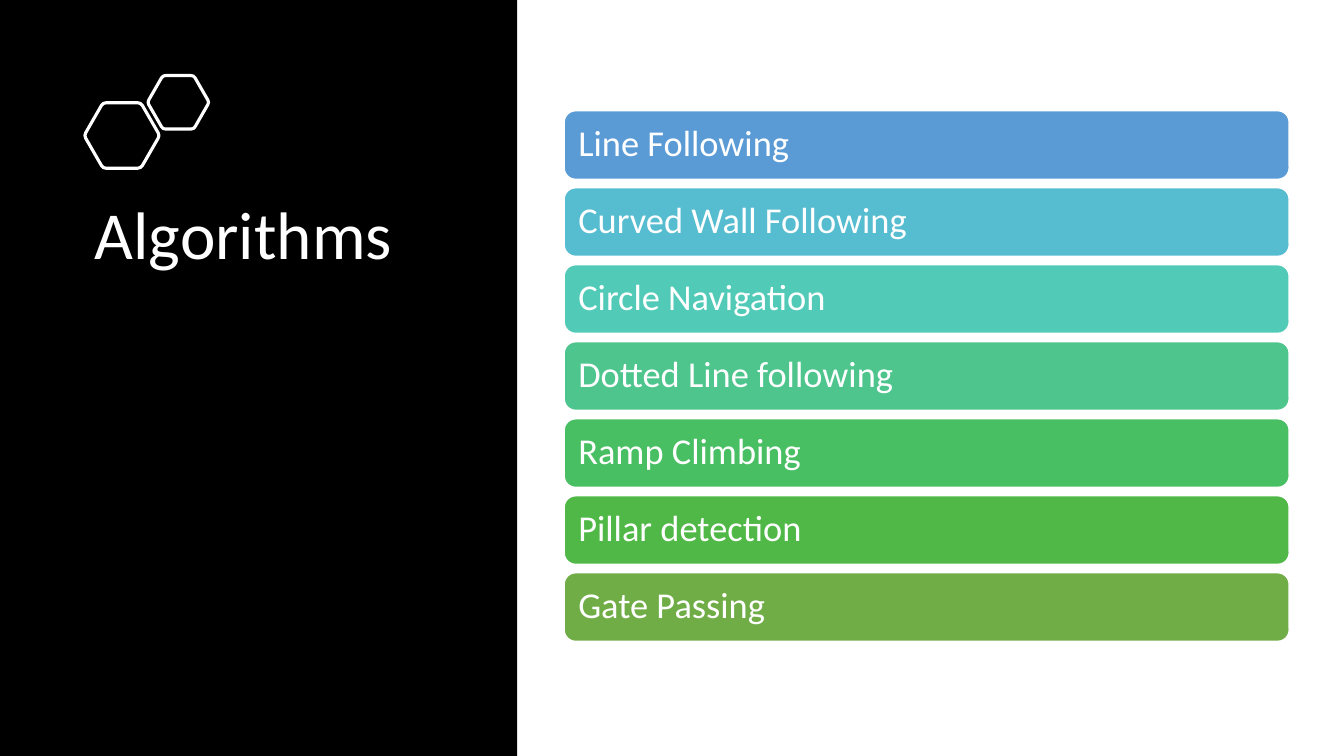
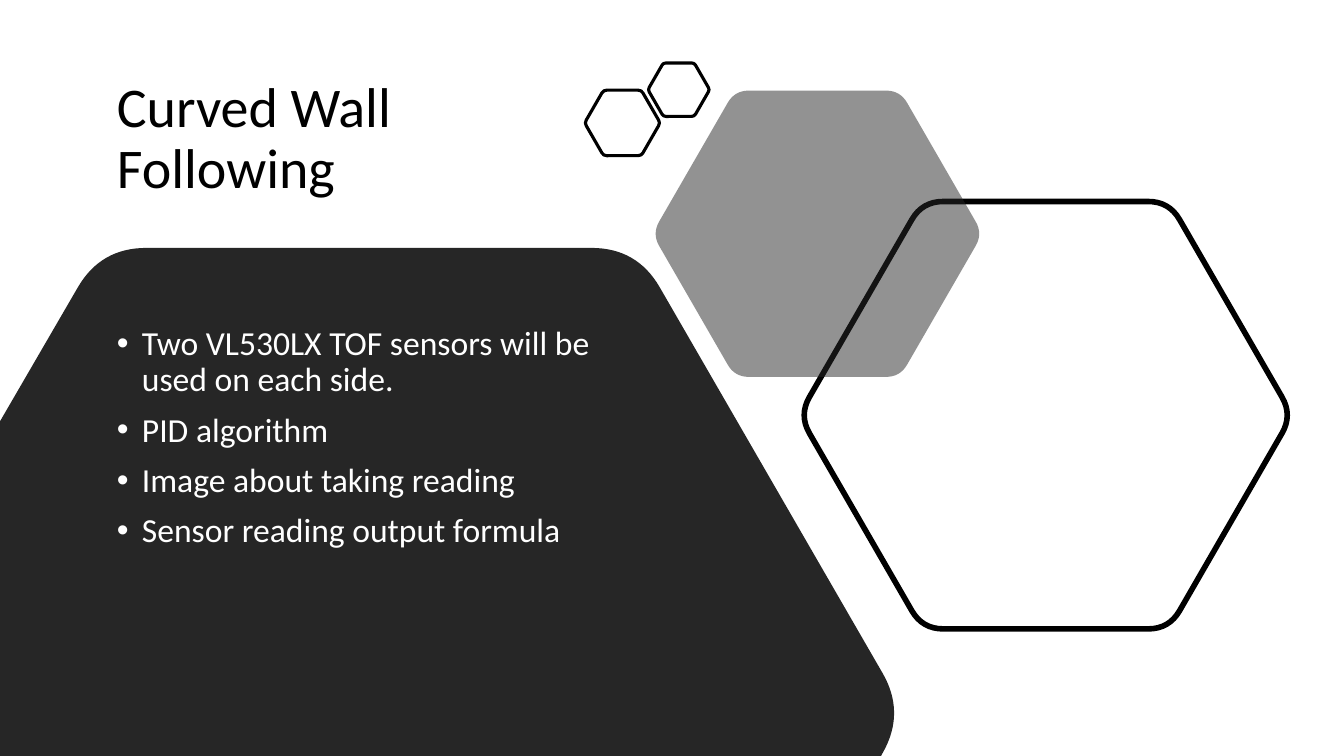
import math

from lxml import etree
from pptx import Presentation
from pptx.dml.color import RGBColor
from pptx.enum import shapes, text
from pptx.oxml import ns
from pptx.util import Pt

BLACK = RGBColor(0x00, 0x00, 0x00)
WHITE = RGBColor(0xFF, 0xFF, 0xFF)
CHARCOAL = RGBColor(0x26, 0x26, 0x26)
FONT = "Calibri"
CORNER_CUT = 0.085  # share of the hexagon side taken by each rounded corner

ALGORITHMS = [
    ("Line Following", RGBColor(0x5B, 0x9B, 0xD5)),
    ("Curved Wall Following", RGBColor(0x56, 0xBC, 0xD0)),
    ("Circle Navigation", RGBColor(0x52, 0xCA, 0xB8)),
    ("Dotted Line following", RGBColor(0x4D, 0xC5, 0x8D)),
    ("Ramp Climbing", RGBColor(0x49, 0xBF, 0x64)),
    ("Pillar detection", RGBColor(0x50, 0xB8, 0x46)),
    ("Gate Passing", RGBColor(0x70, 0xAD, 0x47)),
]
WALL_POINTS = [
    "Two VL530LX TOF sensors will be used on each side.",
    "PID algorithm",
    "Image about taking reading",
    "Sensor reading output formula",
]


def hexagon(center_x, center_y, height):
    """Return the (x, y, cut) corners of a flat-topped regular hexagon."""
    side = height / math.sqrt(3)
    angles = [math.radians(60 * step) for step in range(6)]
    return [(center_x + side * math.cos(angle), center_y + side * math.sin(angle),
             side * CORNER_CUT) for angle in angles]


def add_outline(slide, corners, fill=None, line=None, width=0):
    """Draw a closed polygon whose corners are rounded by their own cut."""
    points, curve_starts = [], []
    for index, (x, y, cut) in enumerate(corners):
        if not cut:
            points.append((Pt(x), Pt(y)))
            continue
        before, after = corners[index - 1], corners[(index + 1) % len(corners)]
        curve_starts.append(len(points) + 1)
        # Curve start, two handles and curve end, measured from the corner
        for (near_x, near_y, _), part in ((before, 1), (before, 1 / 3), (after, 1 / 3), (after, 1)):
            share = part * cut / math.hypot(near_x - x, near_y - y)
            points.append((Pt(x + (near_x - x) * share), Pt(y + (near_y - y) * share)))
    builder = slide.shapes.build_freeform(*points[0], scale=1.0)
    builder.add_line_segments(points[1:], close=True)
    shape = builder.convert_to_shape()
    outline = next(shape.element.iter(ns.qn("a:path")))
    segments = list(outline)
    for start in curve_starts:
        curve = etree.SubElement(outline, ns.qn("a:cubicBezTo"))
        outline.replace(segments[start], curve)
        for segment in segments[start:start + 3]:
            curve.append(segment[0])
        for segment in segments[start + 1:start + 3]:
            outline.remove(segment)
    shape.shadow.inherit = False
    for paint, color in ((shape.fill, fill), (shape.line.fill, line)):
        if color is None:
            paint.background()
        else:
            paint.solid()
            paint.fore_color.rgb = color
    if line is not None:
        shape.line.width = Pt(width)
    return shape


presentation = Presentation()
presentation.slide_width, presentation.slide_height = Pt(960), Pt(540)

# Both slides: title and hexagon pair
TOP, MIDDLE = text.MSO_ANCHOR.TOP, text.MSO_ANCHOR.MIDDLE
slides = []
text_styles = []  # (text frame, size, colour, anchor, side inset, space before)
for title_text, box, size, color, anchor, shift_x, shift_y in (
    ("Algorithms", (60.5, 140.4, 282.2, 252), 48, WHITE, TOP, 0, 0),
    ("Curved Wall Following", (76.3, 35, 337, 129.6), 40, BLACK, MIDDLE, 357.5, -9),
):
    slide = presentation.slides.add_slide(presentation.slide_layouts[5])
    title = slide.shapes.title
    title.left, title.top, title.width, title.height = map(Pt, box)
    title.text_frame.text = title_text
    text_styles.append((title.text_frame, size, color, anchor, 7.2, 0))
    for center_x, center_y, height in ((87.1, 96.8, 46.8), (127.4, 73.1, 38.2)):
        add_outline(slide, hexagon(center_x + shift_x, center_y + shift_y, height),
                    line=color, width=2.25)
    slides.append(slide)
algorithms_slide, wall_slide = slides

# Algorithms: black panel behind the title, one bar per algorithm
panel = algorithms_slide.shapes.add_shape(
    shapes.MSO_SHAPE.RECTANGLE, 0, 0, Pt(369.4), presentation.slide_height)
panel.shadow.inherit = False
panel.fill.solid()
panel.fill.fore_color.rgb = BLACK
panel.line.fill.background()
algorithms_slide.shapes.element.insert(2, panel.element)

for row, (name, color) in enumerate(ALGORITHMS):
    bar = algorithms_slide.shapes.add_shape(
        shapes.MSO_SHAPE.ROUNDED_RECTANGLE, Pt(403), Pt(79.1 + 55 * row), Pt(517.9), Pt(49))
    bar.shadow.inherit = False
    bar.fill.solid()
    bar.fill.fore_color.rgb = color
    bar.line.color.rgb = WHITE
    bar.line.width = Pt(1)
    bar.text_frame.text = name
    text_styles.append((bar.text_frame, 26, WHITE, MIDDLE, 7.7, 0))

# Curved Wall Following: large hexagons, the dark one ending at the slide edges
add_outline(wall_slide, [(0, 540, 0), (0, 301, 0), (72, 177.1, 32.5), (455, 177.1, 32.5),
                         (646.7, 509, 32.5), (629.3, 540, 0)], fill=CHARCOAL)
add_outline(wall_slide, hexagon(747, 296.6, 305.3), line=BLACK, width=4)
veil = add_outline(wall_slide, hexagon(583.9, 167, 204.5), fill=CHARCOAL)
veil_color = veil.element.spPr.find(ns.qn("a:solidFill"))[0]
etree.SubElement(veil_color, ns.qn("a:alpha"), val="50000")

body = wall_slide.shapes.add_textbox(Pt(76.3), Pt(229.7), Pt(373.7), Pt(243.4))
body.text_frame.text = "\n".join(WALL_POINTS)
text_styles.append((body.text_frame, 24, WHITE, TOP, 7.2, 10))
for paragraph in body.text_frame.paragraphs:
    properties = paragraph._p.get_or_add_pPr()
    properties.set("marL", str(Pt(18)))
    properties.set("indent", str(Pt(-18)))
    etree.SubElement(properties, ns.qn("a:buFont"), typeface="Arial")
    etree.SubElement(properties, ns.qn("a:buChar"), char="•")

# Text formatting for titles, bars and body
for frame, size, color, anchor, inset, space_before in text_styles:
    frame_format = {"word_wrap": True, "auto_size": text.MSO_AUTO_SIZE.NONE,
                    "vertical_anchor": anchor,
                    "margin_left": Pt(inset), "margin_right": Pt(inset)}
    for key, value in frame_format.items():
        setattr(frame, key, value)
    paragraph_format = {"alignment": text.PP_ALIGN.LEFT, "line_spacing": 0.9,
                        "space_before": Pt(space_before)}
    for paragraph in frame.paragraphs:
        for key, value in paragraph_format.items():
            setattr(paragraph, key, value)
        for run in paragraph.runs:
            run.font.name, run.font.size = FONT, Pt(size)
            run.font.color.rgb = color

presentation.save("out.pptx")
